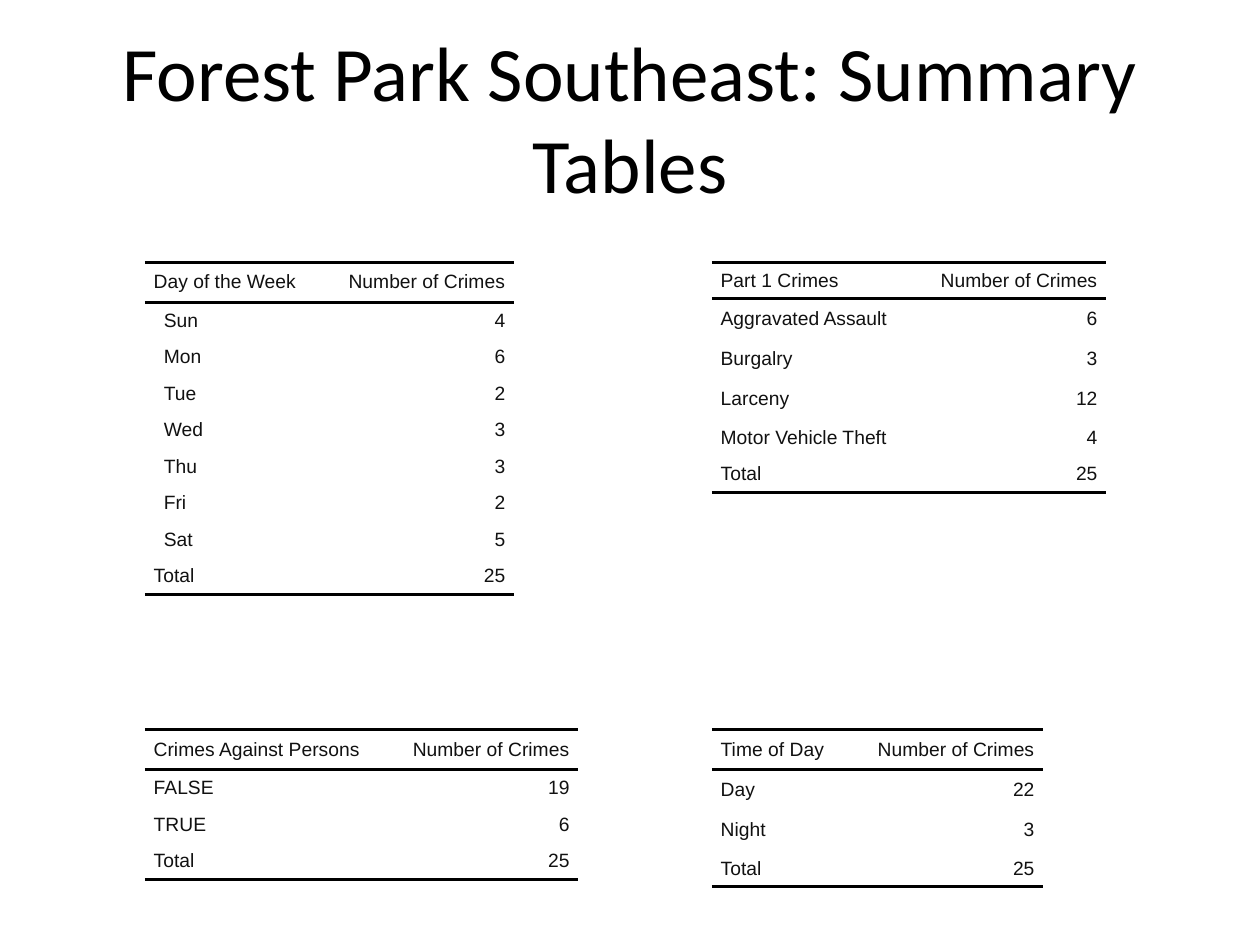
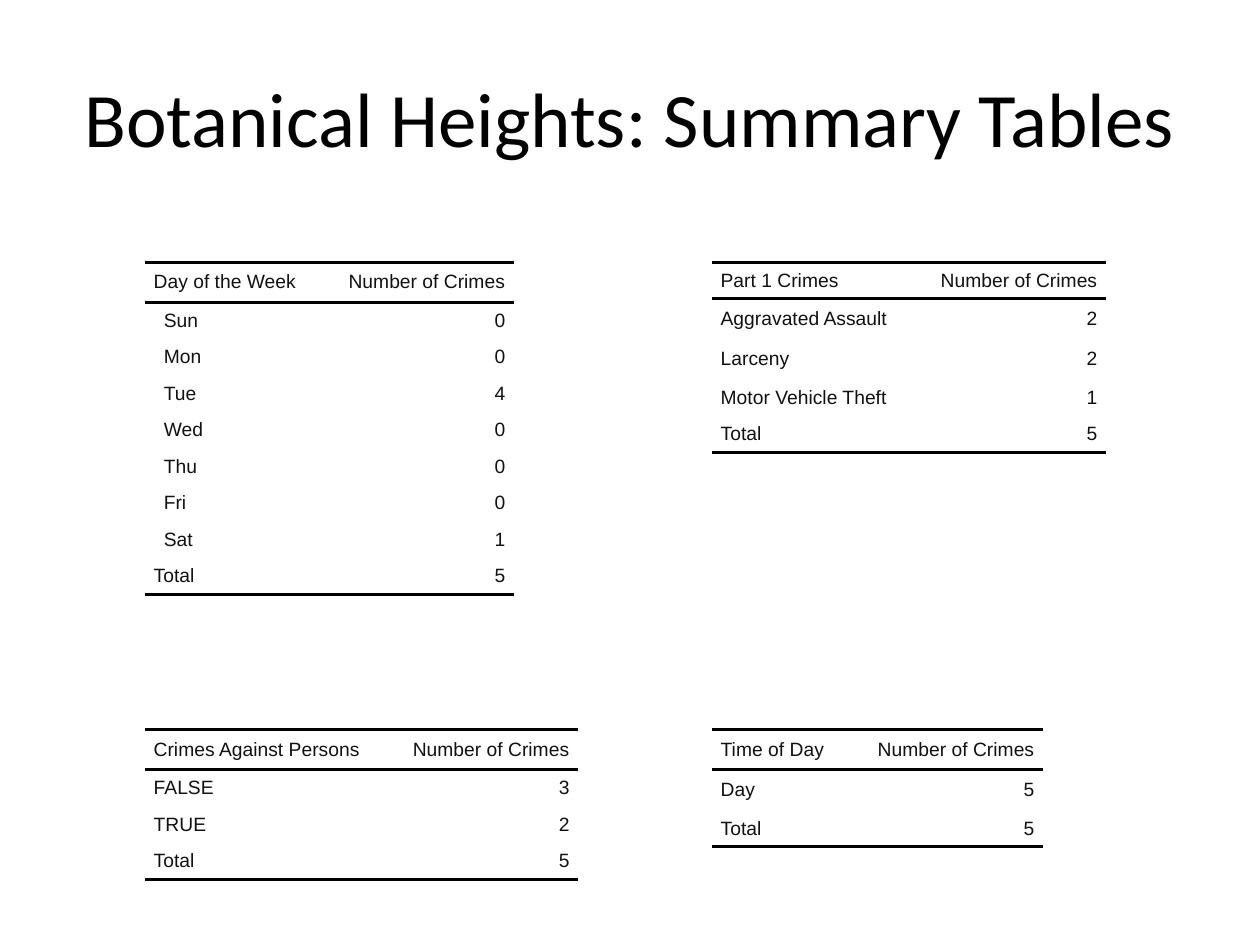
"""Build two slides of neighbourhood crime summary tables."""
from pptx import Presentation
from pptx.dml.color import RGBColor as RGB
from pptx.enum.text import MSO_ANCHOR as Anchor, PP_ALIGN as Align
from pptx.oxml.ns import qn
from pptx.util import Inches, Pt
from lxml.etree import SubElement as Sub

INK = {"title": "000000", "text": "111111", "rule": "000000"}
PLAIN = "{2D5ABB26-0587-4C30-8999-92F81FD0307C}"
DAYS = ["Sun", "Mon", "Tue", "Wed", "Thu", "Fri", "Sat"]
LOW, TALL = 0.29, 0.32
TALL_ROWS = ["Day of the Week", "Crimes Against Persons", "Time of Day",
             "Aggravated Assault", "Burgalry", "Larceny", "Day", "Night"]
COUNT_W = 1.52
GRIDS = [
    ("Part 1 Crimes", 5.65, 2.08, 1.61),
    ("Day of the Week", 1.15, 2.08, 1.41),
    ("Crimes Against Persons", 1.15, 5.79, 1.92),
    ("Time of Day", 5.65, 5.79, 1.11),
]
AREAS = {
    "Forest Park Southeast": {
        "Part 1 Crimes": [("Aggravated Assault", 6), ("Burgalry", 3),
                          ("Larceny", 12), ("Motor Vehicle Theft", 4)],
        "Day of the Week": list(zip(DAYS, [4, 6, 2, 3, 3, 2, 5])),
        "Crimes Against Persons": [("FALSE", 19), ("TRUE", 6)],
        "Time of Day": [("Day", 22), ("Night", 3)],
    },
    "Botanical Heights": {
        "Part 1 Crimes": [("Aggravated Assault", 2), ("Larceny", 2),
                          ("Motor Vehicle Theft", 1)],
        "Day of the Week": list(zip(DAYS, [0, 0, 4, 0, 0, 0, 1])),
        "Crimes Against Persons": [("FALSE", 3), ("TRUE", 2)],
        "Time of Day": [("Day", 5)],
    },
}


def style(para, name, size, ink, align):
    para.alignment = align
    para.font.name = name
    para.font.size = Pt(size)
    para.font.color.rgb = RGB.from_string(INK[ink])


def edge(cell, ruled):
    props = cell._tc.get_or_add_tcPr()
    for side in "LRTB":
        line = Sub(props, qn("a:ln" + side), w=str(Pt(2)))
        if side in ruled:
            fill = Sub(line, qn("a:solidFill"))
            Sub(fill, qn("a:srgbClr"), val=INK["rule"])
        else:
            Sub(line, qn("a:noFill"))


deck = Presentation()
deck.slide_width, deck.slide_height = Inches(10), Inches(7.5)

for area, counts in AREAS.items():
    slide = deck.slides.add_slide(deck.slide_layouts[6])
    box = slide.shapes.add_textbox(Inches(0.5), Inches(0.3), Inches(9), Inches(1.25))
    frame = box.text_frame
    frame.word_wrap = True
    frame.vertical_anchor = Anchor.MIDDLE
    frame.text = f"{area}: Summary Tables"
    style(frame.paragraphs[0], "Calibri", 44, "title", Align.CENTER)

    for head, left, top, wide in GRIDS:
        body = counts[head]
        total = sum(num for label, num in body)
        rows = [(head, "Number of Crimes"), *body, ("Total", total)]
        highs = [TALL if label in TALL_ROWS else LOW for label, num in rows]
        table = slide.shapes.add_table(
            len(rows), 2, Inches(left), Inches(top),
            Inches(wide + COUNT_W), Inches(sum(highs))).table
        table.first_row = table.horz_banding = False
        table._tbl.tblPr.find(qn("a:tableStyleId")).text = PLAIN
        table.columns[0].width = Inches(wide)
        table.columns[1].width = Inches(COUNT_W)

        for r, (row, high) in enumerate(zip(rows, highs)):
            table.rows[r].height = Inches(high)
            ruled = {0: "TB", 1: "T", len(rows) - 1: "B"}.get(r, "")
            for c, value in enumerate(row):
                cell = table.cell(r, c)
                edge(cell, ruled)
                cell.fill.background()
                cell.vertical_anchor = Anchor.MIDDLE
                cell.margin_left = Inches(0.15 if value in DAYS else 0.07)
                cell.margin_right = Inches(0.07)
                cell.margin_top = cell.margin_bottom = Pt(2)
                cell.text = str(value)
                style(cell.text_frame.paragraphs[0], "Arial", 11, "text",
                      Align.RIGHT if c else Align.LEFT)

deck.save("out.pptx")
